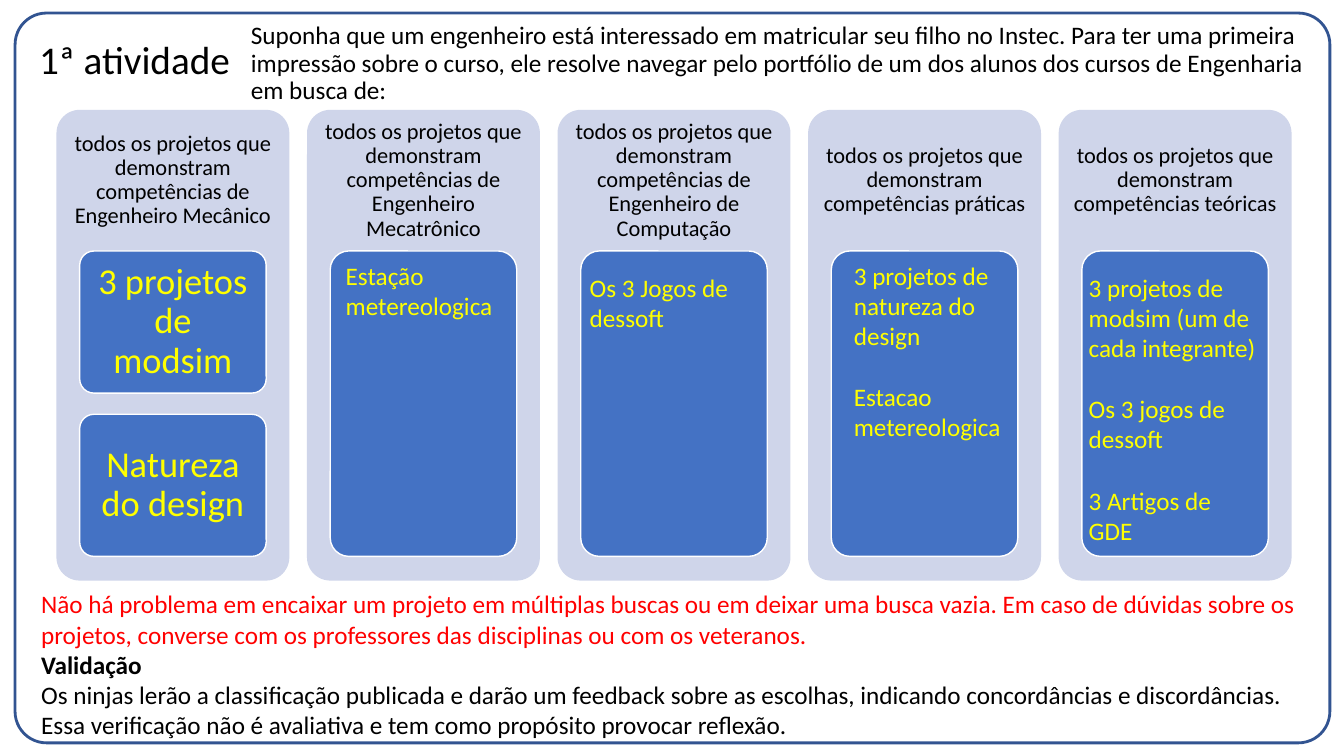
"""Build the slide of the first activity: five portfolio searches and their projects."""
from pptx import Presentation
from pptx.dml.color import RGBColor
from pptx.enum.shapes import MSO_SHAPE as SHAPE
from pptx.enum.text import MSO_ANCHOR as ANCHOR, PP_ALIGN as ALIGN
from pptx.util import Inches, Pt

FONT = "Calibri"
COLORS = {"frame": "325491", "panel": "CFD5EA", "card": "4472C4", "white": "FFFFFF",
          "black": "000000", "red": "FF0000", "yellow": "FFFF00"}

TITLE = "1ª atividade"
INTRO = ("Suponha que um engenheiro está interessado em matricular seu filho no Instec. "
         "Para ter uma primeira impressão sobre o curso, ele resolve navegar pelo portfólio "
         "de um dos alunos dos cursos de Engenharia em busca de:")
HEADING = "todos os projetos que demonstram competências "
COLUMNS = [
    {"skill": "de Engenheiro Mecânico", "cards": ["3 projetos de modsim", "Natureza do design"]},
    {"skill": "de Engenheiro Mecatrônico", "cards": [""],
     "note": ["Estação metereologica"], "at": (3.33, 2.53, 1.68, 0.71)},
    {"skill": "de Engenheiro de Computação", "cards": [""],
     "note": ["Os 3 Jogos de dessoft"], "at": (5.75, 2.65, 2.01, 0.71)},
    {"skill": "práticas", "cards": [""],
     "note": ["3 projetos de natureza do design", "Estacao metereologica"],
     "at": (8.37, 2.53, 1.76, 1.92)},
    {"skill": "teóricas", "cards": [""],
     "note": ["3 projetos de modsim (um de cada integrante)", "Os 3 jogos de dessoft",
              "3 Artigos de GDE"], "at": (10.7, 2.65, 1.86, 2.83)},
]
CLOSING = [
    {"text": "Não há problema em encaixar um projeto em múltiplas buscas ou em deixar uma busca "
             "vazia. Em caso de dúvidas sobre os projetos, converse com os professores das "
             "disciplinas ou com os veteranos.", "color": "red"},
    {"text": "Validação", "bold": True},
    {"text": "Os ninjas lerão a classificação publicada e darão um feedback sobre as escolhas, "
             "indicando concordâncias e discordâncias. Essa verificação não é avaliativa e tem "
             "como propósito provocar reflexão."},
]

PANEL_X, PANEL_Y, PANEL_W, PANEL_H = 0.56, 1.09, 2.31, 4.67
PANEL_STEP = 2.485
HEAD_H = 1.4
CARD_INSET, CARD_W, CARD_AREA_H, CARD_GAP = 0.23, 1.85, 3.03, 0.21


def add_text(tf, text, size=18, color="black", bold=False, align=ALIGN.LEFT,
             line=1.0, before=0):
    p = tf.paragraphs[-1]
    if p.runs:
        p = tf.add_paragraph()
    p.alignment, p.line_spacing, p.space_before = align, line, Pt(before)
    r = p.add_run()
    r.text = text
    r.font.name, r.font.size, r.font.bold = FONT, Pt(size), bold
    r.font.color.rgb = RGBColor.from_string(COLORS[color])


def set_frame(tf, anchor=ANCHOR.TOP, mx=0.1, my=0.05):
    tf.word_wrap, tf.vertical_anchor = True, anchor
    tf.margin_left = tf.margin_right = Inches(mx)
    tf.margin_top = tf.margin_bottom = Inches(my)
    return tf


def add_box(s, at, **frame):
    return set_frame(s.shapes.add_textbox(*map(Inches, at)).text_frame, **frame)


def add_round(s, at, adj=0.1, fill=None, line=None, width=1):
    sp = s.shapes.add_shape(SHAPE.ROUNDED_RECTANGLE, *map(Inches, at))
    sp.adjustments[0] = adj
    sp.shadow.inherit = False
    for part, color in ((sp.fill, fill), (sp.line.fill, line)):
        if color:
            part.solid()
            part.fore_color.rgb = RGBColor.from_string(COLORS[color])
        else:
            part.background()
    if line:
        sp.line.width = Pt(width)
    return sp


def add_column(s, x, column):
    add_round(s, (x, PANEL_Y, PANEL_W, PANEL_H), fill="panel")
    tf = add_box(s, (x, PANEL_Y, PANEL_W, HEAD_H), anchor=ANCHOR.MIDDLE, mx=0.07, my=0.07)
    add_text(tf, HEADING + column["skill"], size=16, align=ALIGN.CENTER, line=0.9)
    cards = column["cards"]
    h = (CARD_AREA_H - CARD_GAP * (len(cards) - 1)) / len(cards)
    for i, text in enumerate(cards):
        y = PANEL_Y + HEAD_H + i * (h + CARD_GAP)
        sp = add_round(s, (x + CARD_INSET, y, CARD_W, h), fill="card", line="white")
        if text:
            tf = set_frame(sp.text_frame, anchor=ANCHOR.MIDDLE, mx=0.07)
            add_text(tf, text, size=26, color="yellow", align=ALIGN.CENTER, line=0.9)


def main():
    prs = Presentation()
    prs.slide_width, prs.slide_height = Inches(13.33), Inches(7.5)
    s = prs.slides.add_slide(prs.slide_layouts[6])
    add_round(s, (0.15, 0.13, 13.04, 7.24), adj=0.043, line="frame", width=2)
    add_text(add_box(s, (0.29, 0.2, 2.2, 0.83), anchor=ANCHOR.MIDDLE), TITLE, size=28, line=0.9)
    add_text(add_box(s, (2.39, 0.18, 10.78, 0.91)), INTRO, line=0.9)
    for i, column in enumerate(COLUMNS):
        add_column(s, PANEL_X + i * PANEL_STEP, column)
    tf = add_box(s, (0.31, 5.79, 12.86, 1.62))
    for item in CLOSING:
        add_text(tf, **item)
    for column in COLUMNS:
        if "note" in column:
            tf = add_box(s, column["at"])
            for i, text in enumerate(column["note"]):
                add_text(tf, text, color="yellow", before=22 if i else 0)
    prs.save("out.pptx")


if __name__ == "__main__":
    main()
